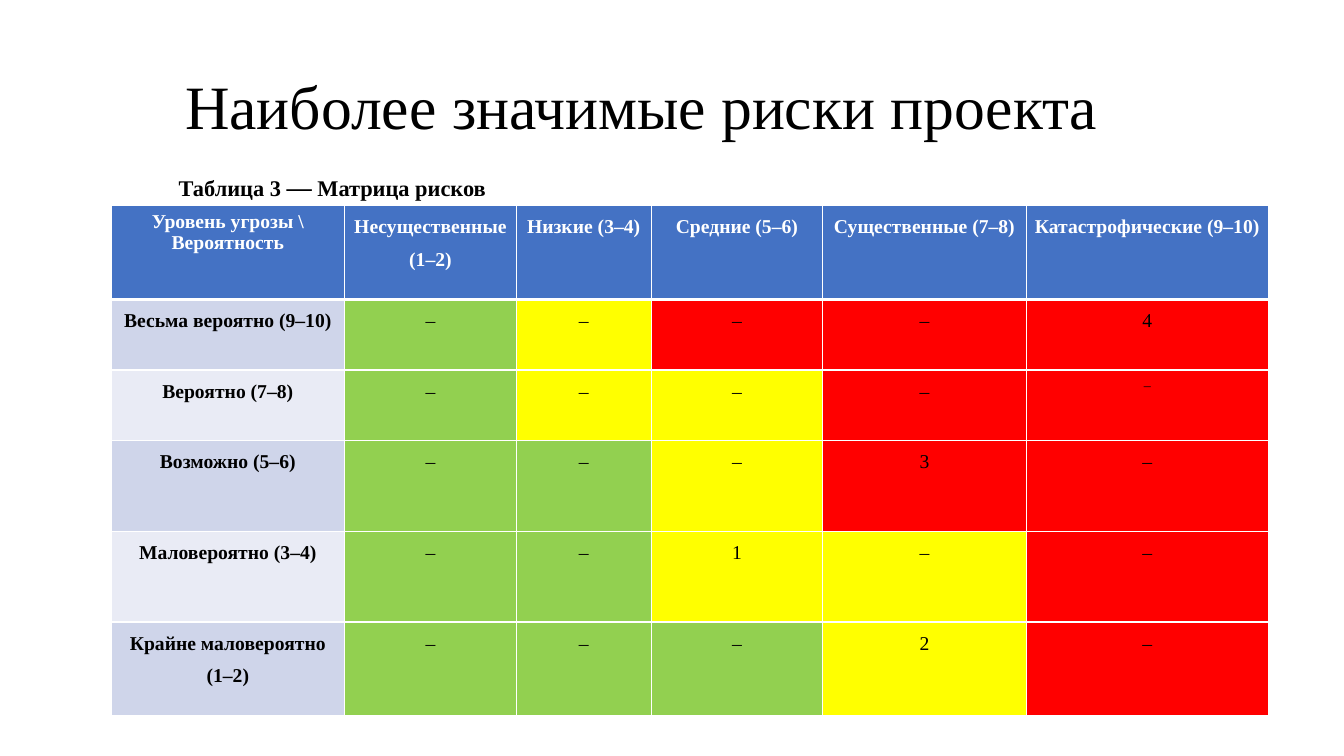
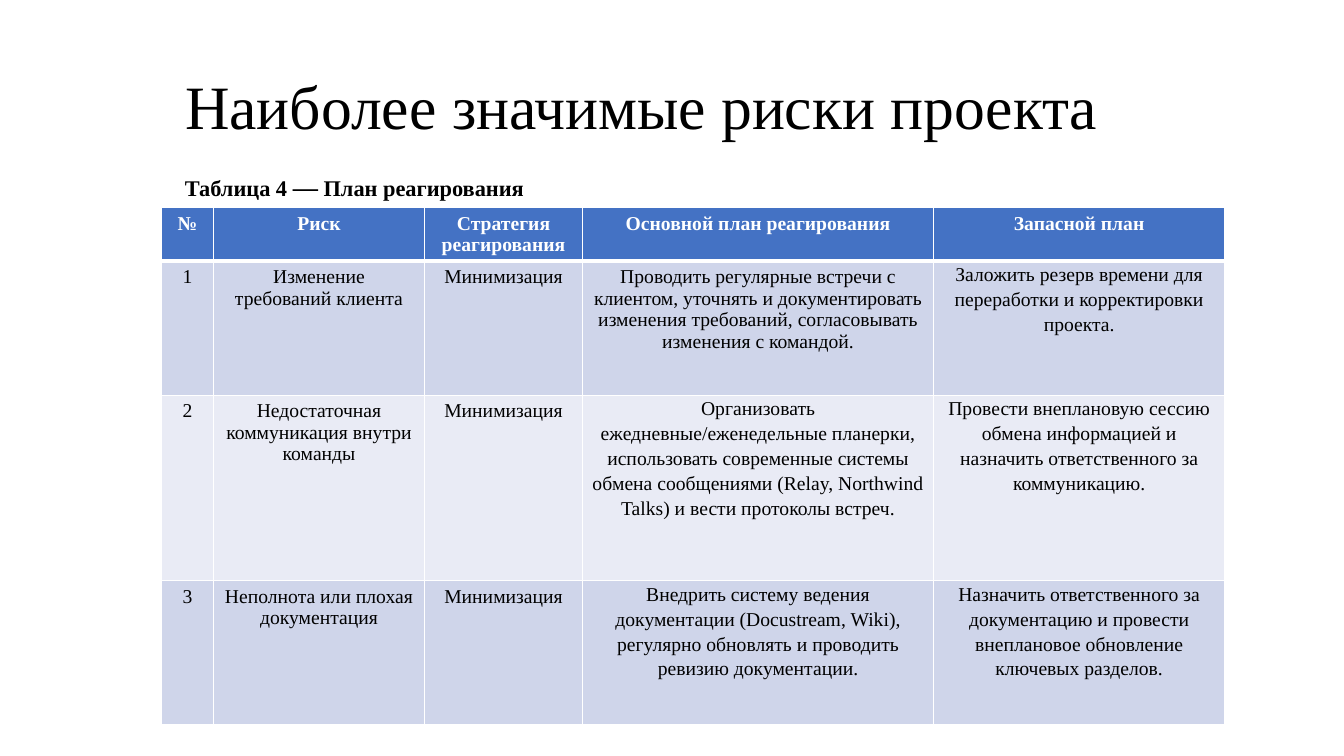
from dataclasses import dataclass

from lxml import etree
from pptx import Presentation
from pptx.dml.color import RGBColor
from pptx.enum.text import MSO_ANCHOR, PP_ALIGN
from pptx.oxml.ns import qn
from pptx.util import Inches, Pt

CENTER = PP_ALIGN.CENTER
MIDDLE = MSO_ANCHOR.MIDDLE

FONT = "Times New Roman"
TITLE = "Наиболее значимые риски проекта"
BLACK = RGBColor(0x00, 0x00, 0x00)
WHITE = RGBColor(0xFF, 0xFF, 0xFF)
BLUE = RGBColor(0x44, 0x72, 0xC4)
BANDS = (RGBColor(0xCF, 0xD5, 0xEA), RGBColor(0xE9, 0xEB, 0xF5))
LEVELS = {
    "G": RGBColor(0x92, 0xD0, 0x50),
    "Y": RGBColor(0xFF, 0xFF, 0x00),
    "R": RGBColor(0xFF, 0x00, 0x00),
}


@dataclass
class Cell:
    text: str
    fill: RGBColor
    color: RGBColor = BLACK
    bold: bool = False
    size: int = 14
    line: float | None = None  # line spacing; such cells have tight margins


@dataclass
class Grid:
    left: float
    top: float
    cols: list[float]
    rows: list[float]
    cells: list[list[Cell]]


@dataclass
class Caption:
    lead: str
    name: str
    width: float


def set_font(font, size: int, color: RGBColor, bold: bool = False) -> None:
    font.name = FONT
    font.size = Pt(size)
    font.bold = bold
    font.color.rgb = color


def add_edges(cell, top: int, bottom: int) -> None:
    """Draw white cell borders, with widths in points."""
    props = cell._tc.get_or_add_tcPr()
    for tag, width in (("lnL", 1), ("lnR", 1), ("lnT", top), ("lnB", bottom)):
        edge = etree.SubElement(props, qn(f"a:{tag}"), w=str(Pt(width)))
        fill = etree.SubElement(edge, qn("a:solidFill"))
        etree.SubElement(fill, qn("a:srgbClr"), val=str(WHITE))


def draw_cell(cell, data: Cell, row: int) -> None:
    add_edges(cell, 3 if row == 1 else 1, 3 if row == 0 else 1)
    cell.fill.solid()
    cell.fill.fore_color.rgb = data.fill
    cell.text = data.text
    para = cell.text_frame.paragraphs[0]
    para.alignment = CENTER
    set_font(para.font, data.size, data.color, data.bold)
    if data.line:
        para.line_spacing = data.line
        cell.margin_left = cell.margin_right = Inches(0.07)
        cell.margin_top = cell.margin_bottom = 0


def draw_grid(slide, grid: Grid) -> None:
    frame = slide.shapes.add_table(
        len(grid.rows), len(grid.cols), Inches(grid.left), Inches(grid.top),
        Inches(sum(grid.cols)), Inches(sum(grid.rows)))
    table = frame.table
    for col, width in zip(table.columns, grid.cols):
        col.width = Inches(width)
    for row, height in zip(table.rows, grid.rows):
        row.height = Inches(height)
    for r, line in enumerate(grid.cells):
        for c, data in enumerate(line):
            draw_cell(table.cell(r, c), data, r)


def draw_title(slide) -> None:
    title = slide.shapes.title
    title.left, title.top = Inches(0.92), Inches(0.4)
    title.width, title.height = Inches(10.89), Inches(1.37)
    title.text_frame.text = TITLE
    title.text_frame.vertical_anchor = MIDDLE
    para = title.text_frame.paragraphs[0]
    para.alignment = CENTER
    para.line_spacing = 0.9
    set_font(para.font, 44, BLACK)


def draw_caption(slide, caption: Caption) -> None:
    box = slide.shapes.add_textbox(
        Inches(1.6), Inches(1.5), Inches(caption.width), Inches(0.5))
    box.text_frame.word_wrap = True
    para = box.text_frame.paragraphs[0]
    para.alignment = CENTER
    para.line_spacing = 1.5
    set_font(para.font, 16, BLACK, True)
    for text, size in ((caption.lead, 16), ("—", 18), (caption.name, 16)):
        run = para.add_run()
        run.text = text
        run.font.size = Pt(size)


def add_page(deck, caption: Caption, grid: Grid) -> None:
    slide = deck.slides.add_slide(deck.slide_layouts[5])
    draw_title(slide)
    draw_grid(slide, grid)
    draw_caption(slide, caption)


def risk_grid() -> Grid:
    heads = ["Несущественные (1–2)", "Низкие (3–4)", "Средние (5–6)",
             "Существенные (7–8)", "Катастрофические (9–10)"]
    # Label, colour levels and values of each row
    odds = [
        ("Весьма вероятно (9–10)", "GYRRR", "––––4"),
        ("Вероятно (7–8)", "GYYRR", "–––––"),
        ("Возможно (5–6)", "GGYRR", "–––3–"),
        ("Маловероятно (3–4)", "GGYYR", "––1––"),
        ("Крайне маловероятно (1–2)", "GGGYR", "–––2–"),
    ]
    cells = [[Cell("Уровень угрозы \\ Вероятность", BLUE, WHITE, True)]
             + [Cell(head, BLUE, WHITE, True, line=1.5) for head in heads]]
    for i, (label, levels, marks) in enumerate(odds):
        cells.append(
            [Cell(label, BANDS[i % 2], bold=True, line=1.5)]
            + [Cell(mark, LEVELS[level], line=1.5)
               for level, mark in zip(levels, marks)])
    cells[2][5].size = 10
    return Grid(1.1, 2.04, [2.32, 1.7, 1.34, 1.7, 2.02, 2.4],
                [0.93, 0.7, 0.7, 0.9, 0.9, 0.93], cells)


def plan_grid() -> Grid:
    heads = ["№", "Риск", "Стратегия реагирования",
             "Основной план реагирования", "Запасной план"]
    # Risk, main plan and backup plan
    plans = [
        ("Изменение требований клиента",
         "Проводить регулярные встречи с клиентом, уточнять и "
         "документировать изменения требований, согласовывать изменения "
         "с командой.",
         "Заложить резерв времени для переработки и корректировки проекта."),
        ("Недостаточная коммуникация внутри команды",
         "Организовать ежедневные/еженедельные планерки, использовать "
         "современные системы обмена сообщениями (Relay, Northwind Talks) "
         "и вести протоколы встреч.",
         "Провести внеплановую сессию обмена информацией и назначить "
         "ответственного за коммуникацию."),
        ("Неполнота или плохая документация",
         "Внедрить систему ведения документации (Docustream, Wiki), "
         "регулярно обновлять и проводить ревизию документации.",
         "Назначить ответственного за документацию и провести внеплановое "
         "обновление ключевых разделов."),
    ]
    cells = [[Cell(head, BLUE, WHITE, True) for head in heads]]
    for i, (risk, main_plan, backup) in enumerate(plans):
        band = BANDS[i % 2]
        cells.append(
            [Cell(text, band) for text in (str(i + 1), risk, "Минимизация")]
            + [Cell(main_plan, band, line=1.15 if i else None),
               Cell(backup, band, line=1.15)])
    return Grid(1.6, 2.06, [0.52, 2.09, 1.57, 3.48, 2.89],
                [0.53, 1.33, 1.84, 1.43], cells)


def main() -> None:
    deck = Presentation()
    deck.slide_width, deck.slide_height = Inches(13.33), Inches(7.5)
    add_page(deck, Caption("Таблица 3 ", " Матрица рисков", 3.39), risk_grid())
    add_page(deck, Caption("Таблица 4 ", " План реагирования", 3.83),
             plan_grid())
    deck.save("out.pptx")


if __name__ == "__main__":
    main()
